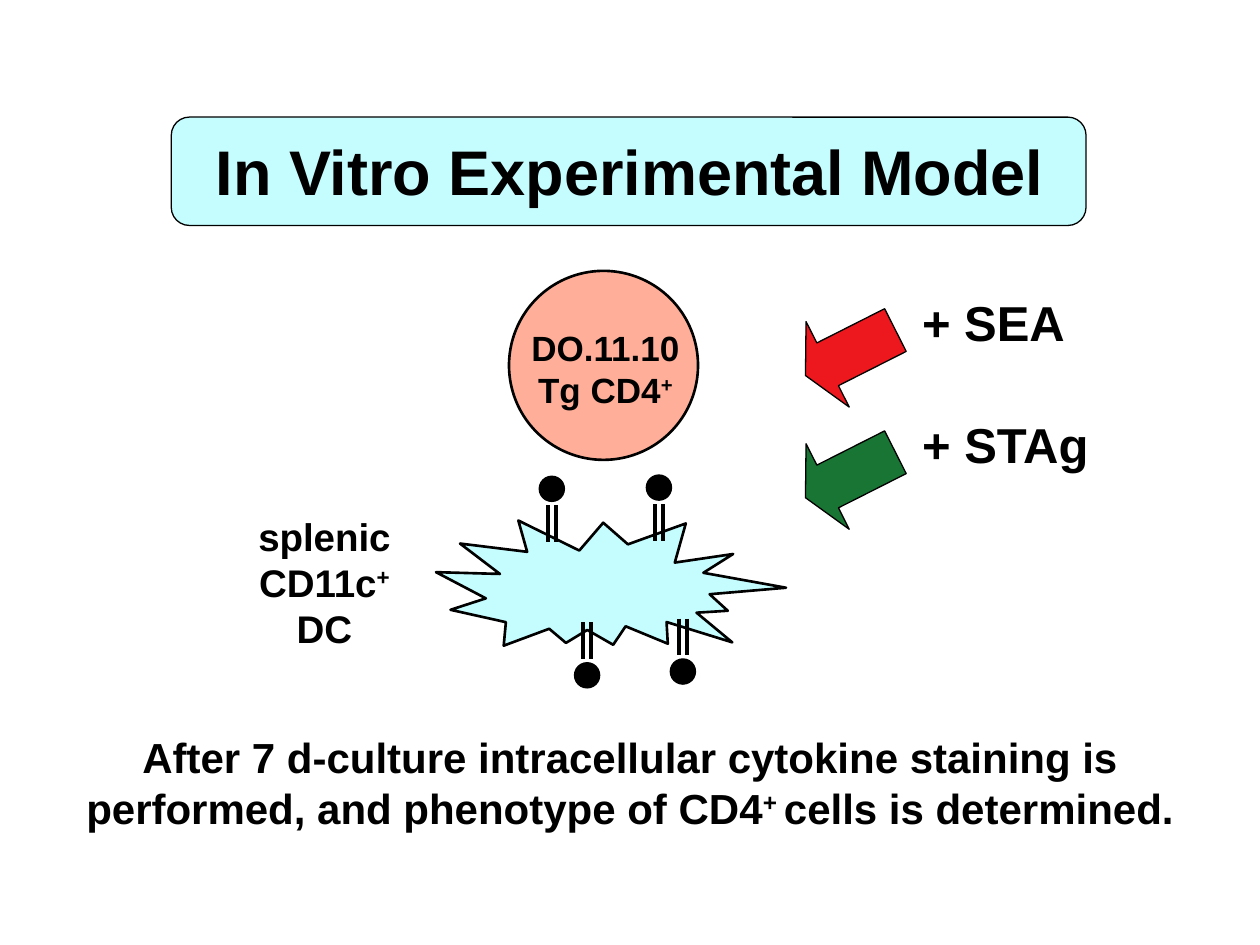
from lxml import etree
from pptx import Presentation
from pptx.dml.color import RGBColor
from pptx.enum.shapes import MSO_CONNECTOR, MSO_SHAPE as SHAPE
from pptx.enum.text import MSO_ANCHOR as ANCHOR, MSO_AUTO_SIZE as AUTO, PP_ALIGN as ALIGN
from pptx.oxml.ns import qn
from pptx.util import Inches, Pt

BLACK, CYAN, SALMON, RED, GREEN = "000000", "C5FDFF", "FFAF99", "ED181E", "187534"


def rgb(value):
    return RGBColor.from_string(value)


class SlideBuilder:
    font = "Arial"

    def __init__(self, slide):
        self.s = slide

    def shape(self, kind, x, y, w, h, fill, line=0.75, rotation=0, adj=()):
        sp = self.s.shapes.add_shape(kind, Inches(x), Inches(y), Inches(w), Inches(h))
        sp.shadow.inherit = False
        sp.fill.solid()
        sp.fill.fore_color.rgb = rgb(fill)
        sp.line.color.rgb = rgb(BLACK)
        sp.line.width = Pt(line)
        sp.rotation = rotation
        for i, value in enumerate(adj):
            sp.adjustments[i] = value

    def line(self, x1, y1, x2, y2, width=2.25):
        cn = self.s.shapes.add_connector(
            MSO_CONNECTOR.STRAIGHT, Inches(x1), Inches(y1), Inches(x2), Inches(y2))
        cn.line.color.rgb = rgb(BLACK)
        cn.line.width = Pt(width)
        etree.SubElement(cn._element.spPr, qn("a:effectLst"))

    def text(self, x, y, w, h, paragraphs, size, align=ALIGN.CENTER,
             wrap=True, anchor=ANCHOR.TOP, auto=AUTO.SHAPE_TO_FIT_TEXT):
        """Each paragraph is a list of strings; every second one is superscript."""
        tf = self.s.shapes.add_textbox(Inches(x), Inches(y), Inches(w), Inches(h)).text_frame
        tf.word_wrap = wrap
        tf.auto_size = auto
        tf.vertical_anchor = anchor
        for i, parts in enumerate(paragraphs):
            p = tf.add_paragraph() if i else tf.paragraphs[0]
            p.alignment = align
            p.font.name = self.font
            p.font.size = Pt(size)
            p.font.bold = True
            p.font.color.rgb = rgb(BLACK)
            for j, part in enumerate(parts):
                r = p.add_run()
                r.text = part
                if j % 2:
                    r._r.get_or_add_rPr().set("baseline", "30000")

    def receptor(self, cx, cy, side):
        """Ball with a double stalk; side is 1 for a stalk below, -1 for above."""
        radius, gap, length = 0.1, 0.13, 0.29
        near, far = cy + side * gap, cy + side * (gap + length)
        for x in (cx - 0.03, cx + 0.03):
            self.line(x, min(near, far), x, max(near, far))
        self.shape(SHAPE.OVAL, cx - radius, cy - radius, 2 * radius, 2 * radius, BLACK)


def main():
    prs = Presentation()
    prs.slide_width, prs.slide_height = Inches(10), Inches(7.5)
    b = SlideBuilder(prs.slides.add_slide(prs.slide_layouts[6]))

    # Title
    b.shape(SHAPE.ROUNDED_RECTANGLE, 1.36, 0.93, 7.26, 0.86, CYAN, adj=[0.167])
    b.text(0.75, 0.45, 8.5, 1.25, [["In Vitro Experimental Model"]], 36,
           anchor=ANCHOR.BOTTOM, auto=AUTO.NONE)

    # Dendritic cell and T cell
    b.shape(SHAPE.EXPLOSION2, 3.46, 4.06, 2.76, 1.2, CYAN, 1.5, rotation=9.7)
    b.shape(SHAPE.OVAL, 4.04, 2.15, 1.5, 1.5, SALMON, 1.5)
    b.text(4.09, 2.54, 1.43, 0.77, [["DO.11.10"], ["Tg CD4", "+"]], 20)
    b.text(1.95, 4.02, 1.25, 1.2, [["splenic"], ["CD11c", "+"], ["DC"]], 22, wrap=False)

    # Receptors on the dendritic cell
    for cx, cy, side in [(5.23, 3.87, 1), (4.38, 3.88, 1), (4.66, 5.36, -1), (5.42, 5.33, -1)]:
        b.receptor(cx, cy, side)

    # Added antigens
    for i, (label, colour, width) in enumerate([("+ SEA", RED, 1.33), ("+ STAg", GREEN, 1.55)]):
        dy = i * 0.97
        b.shape(SHAPE.LEFT_ARROW, 6.35, 2.42 + dy, 0.8, 0.76, colour,
                rotation=333.2, adj=[0.5, 0.26])
        b.text(7.22, 2.27 + dy, width, 0.57, [[label]], 28, ALIGN.LEFT, wrap=False)

    # Readout
    b.text(0.44, 5.76, 9.12, 0.9,
           [["After 7 d-culture intracellular cytokine staining is performed, "
             "and phenotype of CD4", "+ ", "cells is determined."]], 24)

    prs.save("out.pptx")


if __name__ == "__main__":
    main()
